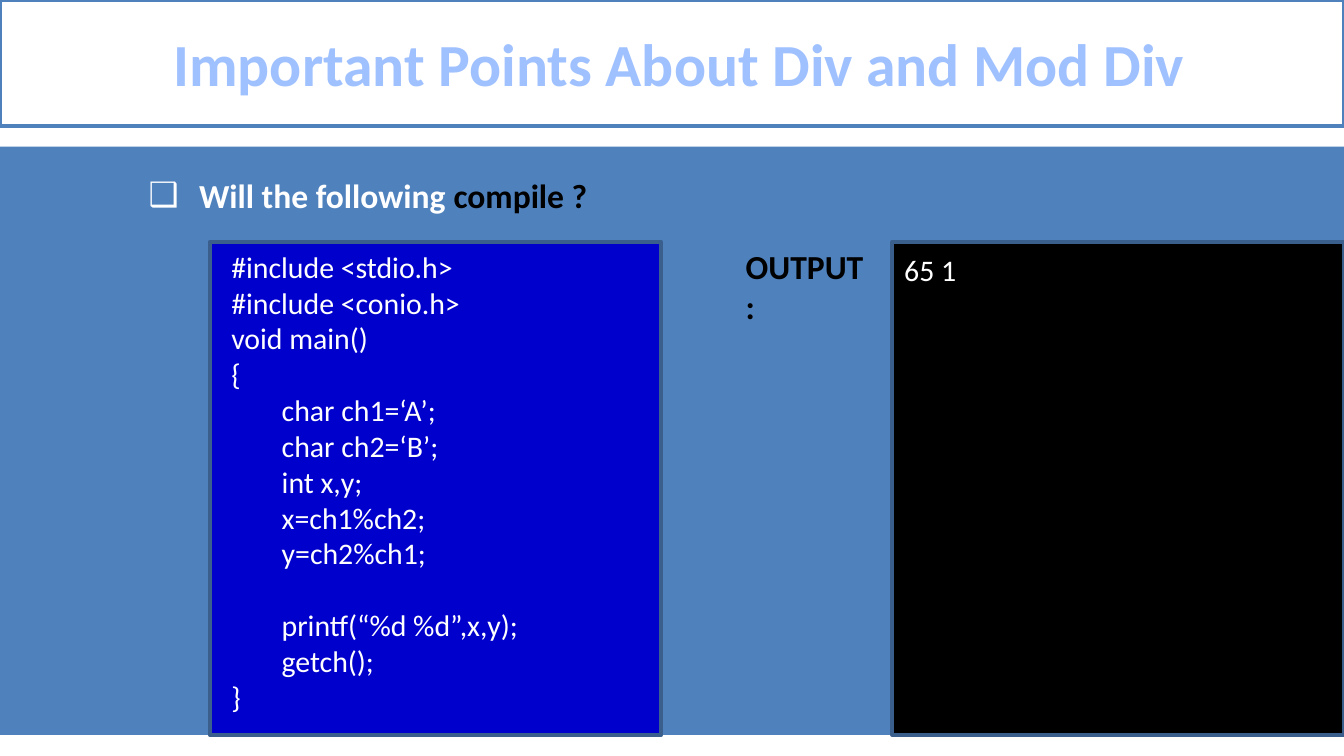
"""Builds the slide on division and modulus with a code panel and its output."""
from lxml import etree
from pptx import Presentation
from pptx.dml.color import RGBColor
from pptx.enum.shapes import MSO_SHAPE
from pptx.enum.text import MSO_ANCHOR, MSO_AUTO_SIZE, PP_ALIGN
from pptx.oxml.ns import qn
from pptx.util import Pt

TITLE = "Important Points About Div and Mod Div"
QUESTION = ("Will the following ", "compile ?")
CODE_BLOCKS = [
    ["#include <stdio.h>", "#include <conio.h>", "void main()", "{",
     "\tchar ch1=‘A’;", "\tchar ch2=‘B’;", "\tint x,y;",
     "\tx=ch1%ch2;", "\ty=ch2%ch1;"],
    ["\tprintf(“%d %d”,x,y);", "\tgetch();", "}"],
]
OUTPUT_LABEL = "OUTPUT :"
OUTPUT = [["65 1"]]

WHITE = RGBColor(0xFF, 0xFF, 0xFF)
BLACK = RGBColor(0, 0, 0)
BLUE = RGBColor(0x4F, 0x81, 0xBD)
PALE_BLUE = RGBColor(0xA0, 0xC1, 0xFF)
CODE_BLUE = RGBColor(0, 0, 0xCC)
EDGE_BLUE = RGBColor(0x3A, 0x5F, 0x8C)

WIDTH, HEIGHT = 720, 405
PANEL_TOP, PANEL_BOTTOM = 78.5, 393.8
BOX_TOP, BOX_WIDTH = 129.6, 242
CODE_LEFT, OUTPUT_LEFT = 112.3, WIDTH - BOX_WIDTH
HANG = 27
CODE_LINE = 19.2


def place(shape, left, top, width, height):
    shape.left, shape.top = Pt(left), Pt(top)
    shape.width, shape.height = Pt(width), Pt(height)


def paint(shape, fill, edge=None):
    shape.fill.solid()
    shape.fill.fore_color.rgb = fill
    if edge is None:
        shape.line.fill.background()
    else:
        shape.line.color.rgb = edge
        shape.line.width = Pt(2)


def style(paragraph, size, color=None, bold=False):
    font = paragraph.font
    font.name, font.size, font.bold = "Calibri", Pt(size), bold
    if color is not None:
        font.color.rgb = color


def indent(paragraph, margin, first):
    properties = paragraph._p.get_or_add_pPr()
    properties.set("marL", str(Pt(margin)))
    properties.set("indent", str(Pt(first)))
    return properties


def add_rectangle(slide, left, top, width, fill, edge=None):
    rectangle = slide.shapes.add_shape(
        MSO_SHAPE.RECTANGLE, Pt(left), Pt(top), Pt(width), Pt(PANEL_BOTTOM - top))
    rectangle.shadow.inherit = False
    paint(rectangle, fill, edge)
    return rectangle


def add_screen(slide, left, fill, blocks, inset_left, inset_top):
    screen = add_rectangle(slide, left, BOX_TOP, BOX_WIDTH, fill, EDGE_BLUE)
    frame = screen.text_frame
    frame.word_wrap = True
    frame.vertical_anchor = MSO_ANCHOR.TOP
    frame.margin_left, frame.margin_top = Pt(inset_left), Pt(inset_top)
    lines = [(text, block > 0 and row == 0)
             for block, texts in enumerate(blocks) for row, text in enumerate(texts)]
    for number, (text, opens_block) in enumerate(lines):
        line = frame.add_paragraph() if number else frame.paragraphs[0]
        line.text = text
        line.alignment = PP_ALIGN.LEFT
        indent(line, HANG, -HANG)
        if opens_block:
            line.space_before = Pt(CODE_LINE)
        style(line, 16, WHITE)


def fill_title(title):
    place(title, 0, 0, WIDTH, 67.5)
    paint(title, WHITE, BLUE)
    title.text_frame.auto_size = MSO_AUTO_SIZE.NONE
    title.text_frame.vertical_anchor = MSO_ANCHOR.MIDDLE
    heading = title.text_frame.paragraphs[0]
    heading.text = TITLE
    heading.alignment = PP_ALIGN.CENTER
    indent(heading, 8, 0)
    style(heading, 32, PALE_BLUE, True)


def fill_question(body):
    place(body, 0, 90, WIDTH, 36)
    body.text_frame.auto_size = MSO_AUTO_SIZE.NONE
    question = body.text_frame.paragraphs[0]
    properties = indent(question, 99.4, -HANG)
    etree.SubElement(properties, qn("a:buChar")).set("char", "❑")
    question.space_before = Pt(0)
    style(question, 18, bold=True)
    for text, color in zip(QUESTION, (WHITE, BLACK)):
        part = question.add_run()
        part.text = text
        part.font.color.rgb = color


def add_output_label(slide):
    label = slide.shapes.add_textbox(Pt(392.4), Pt(128.2), Pt(84), Pt(29))
    label.text_frame.word_wrap = True
    caption = label.text_frame.paragraphs[0]
    caption.text = OUTPUT_LABEL
    style(caption, 18, BLACK, True)


def main():
    deck = Presentation()
    deck.slide_width, deck.slide_height = Pt(WIDTH), Pt(HEIGHT)
    slide = deck.slides.add_slide(deck.slide_layouts[1])
    panel = add_rectangle(slide, 0, PANEL_TOP, WIDTH, BLUE)
    panel.element.getparent().insert(2, panel.element)
    fill_title(slide.shapes.title)
    fill_question(slide.placeholders[1])
    add_screen(slide, CODE_LEFT, CODE_BLUE, CODE_BLOCKS, 11.6, 3.6)
    add_screen(slide, OUTPUT_LEFT, BLACK, OUTPUT, 6.4, 5)
    add_output_label(slide)
    deck.save("out.pptx")


if __name__ == "__main__":
    main()
